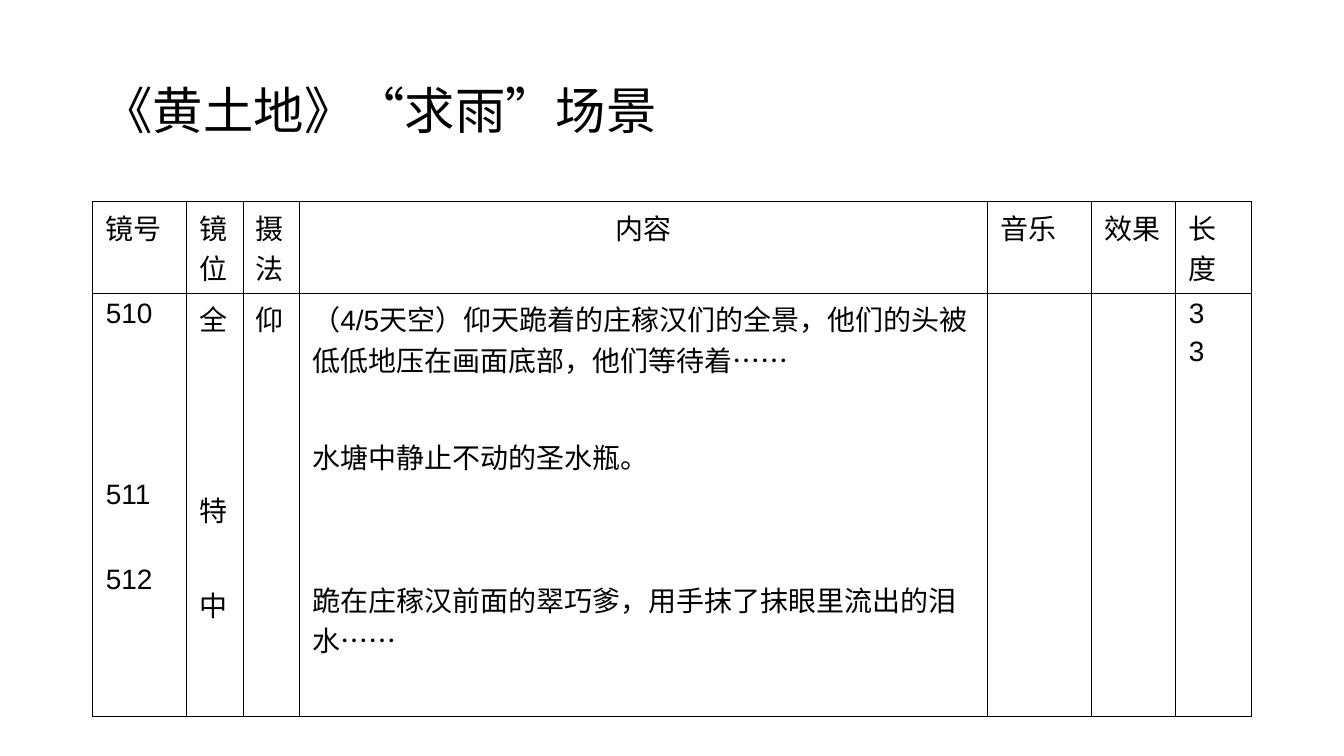
"""Build the shot-list slide for the rain-prayer scene."""
from lxml import etree
from pptx import Presentation
from pptx import util as u
from pptx.dml.color import RGBColor
from pptx.enum import text
from pptx.oxml.ns import qn

COLORS = {"ink": "000000"}
CJK = "Noto Sans CJK SC"
COLS = [0.93, 0.56, 0.56, 6.83, 1.03, 0.84, 0.75]
ROWS = [0.91, 4.2]
HEADERS = ["镜号", "镜位", "摄法", "内容", "音乐", "效果", "长度"]
SHOTS = [
    [("510", 0), ("511", 107), ("512", 38)],
    [("全", 0), ("特", 107), ("中", 39)],
    [("仰", 0)],
    [("（4/5天空）仰天跪着的庄稼汉们的全景，他们的头被低低地压在画面底部，他们等待着……", 0),
     ("水塘中静止不动的圣水瓶。", 40),
     ("跪在庄稼汉前面的翠巧爹，用手抹了抹眼里流出的泪水……", 73)],
    [],
    [],
    [("3", 0), ("3", 5)],
]


class Deck:
    def __init__(self):
        self.prs = Presentation()
        self.prs.slide_width = u.Inches(13.34)
        self.prs.slide_height = u.Inches(7.5)
        self.s = self.prs.slides.add_slide(self.prs.slide_layouts[6])

    def style(self, p, size, face):
        p.font.size = u.Pt(size)
        p.font.name = face
        p.font.color.rgb = RGBColor.from_string(COLORS["ink"])
        props = p._p.pPr.find(qn("a:defRPr"))
        etree.SubElement(props, qn("a:ea"), typeface=CJK)

    def title(self, words, x, y, w, h):
        sp = self.s.shapes.add_textbox(*map(u.Inches, (x, y, w, h)))
        tf = sp.text_frame
        tf.word_wrap = True
        tf.vertical_anchor = text.MSO_ANCHOR.MIDDLE
        p = tf.paragraphs[0]
        p.text = words
        p.line_spacing = 0.9
        self.style(p, 36, CJK)

    def border(self, cell, side, width):
        ln = etree.SubElement(cell._tc.get_or_add_tcPr(), qn(f"a:ln{side}"),
                              w=str(u.Pt(width)))
        fill = etree.SubElement(ln, qn("a:solidFill"))
        etree.SubElement(fill, qn("a:srgbClr"), val=COLORS["ink"])

    def cell(self, cell, items, edges, centered):
        cell.margin_left = cell.margin_right = u.Inches(0.13)
        cell.margin_top = cell.margin_bottom = u.Inches(0.05)
        for side, outer in edges.items():
            self.border(cell, side, 1.08 if outer else 0.45)
        cell.fill.background()
        tf = cell.text_frame
        for i, (words, gap) in enumerate(items):
            p = tf.add_paragraph() if i else tf.paragraphs[0]
            p.text = words
            if gap:
                p.space_before = u.Pt(gap)
            if centered:
                p.alignment = text.PP_ALIGN.CENTER
            self.style(p, 20, "Arial")

    def table(self, rows, x, y):
        frame = self.s.shapes.add_table(
            len(ROWS), len(COLS), u.Inches(x), u.Inches(y),
            u.Inches(sum(COLS)), u.Inches(sum(ROWS)))
        tbl = frame.table
        tbl.first_row = tbl.horz_banding = False
        for col, width in zip(tbl.columns, COLS):
            col.width = u.Inches(width)
        for row, height in zip(tbl.rows, ROWS):
            row.height = u.Inches(height)
        for r, row in enumerate(rows):
            for c, items in enumerate(row):
                edges = {"L": c == 0, "R": c == len(COLS) - 1,
                         "T": r == 0, "B": r == len(ROWS) - 1}
                self.cell(tbl.cell(r, c), items, edges, items == [("内容", 0)])


def main():
    deck = Deck()
    deck.title("《黄土地》“求雨”场景", 0.92, 0.4, 11.5, 1.45)
    deck.table([[[(name, 0)] for name in HEADERS], SHOTS], 0.92, 2)
    deck.prs.save("out.pptx")


if __name__ == "__main__":
    main()
